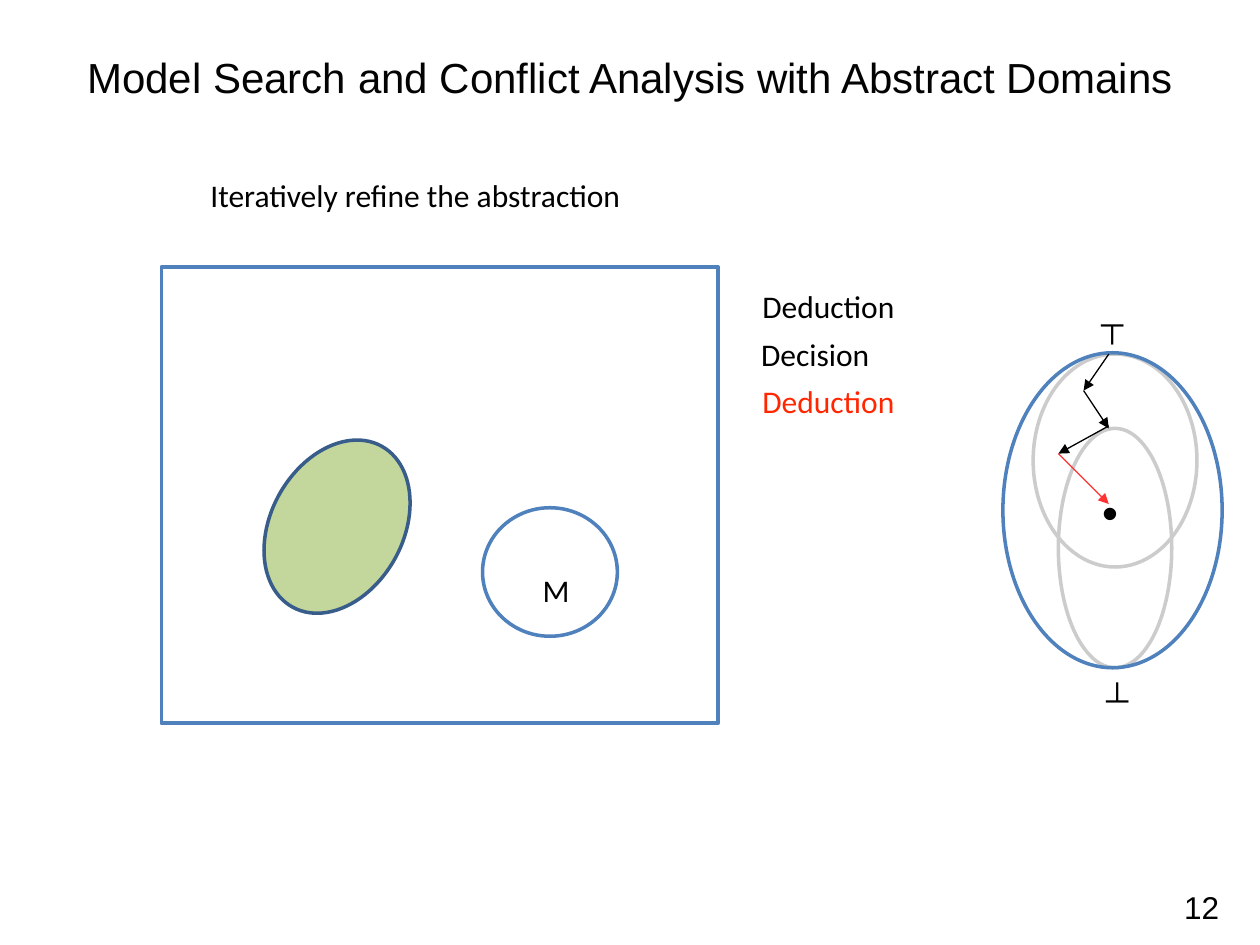
from lxml.etree import SubElement
from pptx import Presentation
from pptx.dml.color import RGBColor
from pptx.enum.shapes import MSO_CONNECTOR, MSO_SHAPE
from pptx.enum.text import MSO_ANCHOR, PP_ALIGN
from pptx.oxml.ns import qn
from pptx.util import Pt

PX = 9144  # 100 px to the inch
BLACK = RGBColor(0x00, 0x00, 0x00)
INK = RGBColor(0x03, 0x03, 0x03)
WHITE = RGBColor(0xFF, 0xFF, 0xFF)
BLUE = RGBColor(0x4F, 0x81, 0xBD)
NAVY = RGBColor(0x38, 0x5D, 0x8A)
GREEN = RGBColor(0xC3, 0xD6, 0x9B)
GREY = RGBColor(0xCC, 0xCC, 0xCC)
RED = RGBColor(0xFF, 0x26, 0x00)
CORAL = RGBColor(0xFF, 0x33, 0x33)

prs = Presentation()
prs.slide_width, prs.slide_height = 1000 * PX, 750 * PX
slide = prs.slides.add_slide(prs.slide_layouts[5])
shapes = slide.shapes


def add_form(kind, x, y, w, h, line, fill=None):
    form = shapes.add_shape(kind, x * PX, y * PX, w * PX, h * PX)
    form.shadow.inherit = False
    form.line.color.rgb = line
    form.line.width = Pt(2)
    if fill is None:
        form.fill.background()
    else:
        form.fill.solid()
        form.fill.fore_color.rgb = fill
    return form


def add_label(text, x, y, w, h, font="Calibri", size=18, color=BLACK, side=5, wrap=False):
    frame = shapes.add_textbox(x * PX, y * PX, w * PX, h * PX).text_frame
    frame.word_wrap = wrap
    frame.margin_left = frame.margin_right = side * PX
    frame.margin_top = frame.margin_bottom = 5 * PX
    para = frame.paragraphs[0]
    para.text = text
    para.font.name, para.font.size = font, Pt(size)
    para.font.color.rgb = color


# Title
title = shapes.title
title.left, title.top, title.width, title.height = 50 * PX, 18 * PX, 900 * PX, 85 * PX
frame = title.text_frame
frame.text = "Model Search and Conflict Analysis with Abstract Domains"
frame.vertical_anchor = MSO_ANCHOR.MIDDLE
frame.margin_left = frame.margin_right = 5 * PX
frame.margin_top = frame.margin_bottom = 5 * PX
head = frame.paragraphs[0]
head.alignment = PP_ALIGN.CENTER
head.font.name, head.font.size = "Arial", Pt(24)
head.font.color.rgb = INK

# Universe with the abstract region and the models M
add_form(MSO_SHAPE.RECTANGLE, 128, 212, 442, 362, BLUE, WHITE)
add_label("Iteratively refine the abstraction", 162, 135, 348, 40)
region = add_form(MSO_SHAPE.OVAL, 215, 345, 105, 146, NAVY, GREEN)
region.rotation = 29
model = add_form(MSO_SHAPE.OVAL, 383, 403, 107, 102, BLUE, WHITE)
frame = model.text_frame
frame.vertical_anchor = MSO_ANCHOR.TOP
frame.margin_left, frame.margin_top = 32 * PX, 35 * PX
frame.margin_right = frame.margin_bottom = 0
mark = frame.paragraphs[0]
mark.text = "M"
mark.alignment = PP_ALIGN.LEFT
mark.font.name, mark.font.size = "Calibri", Pt(18)
mark.font.color.rgb = BLACK

# Steps of the search
add_label("Deduction", 600, 223, 115, 40)
add_label("Decision", 599, 261, 96, 40)
add_label("Deduction", 600, 298, 115, 40, color=RED)

# Lattice between top and bottom
add_form(MSO_SHAPE.OVAL, 840, 340, 90, 190, GREY, WHITE)
add_form(MSO_SHAPE.OVAL, 820, 281, 130, 169, GREY)
add_form(MSO_SHAPE.OVAL, 796, 280, 174, 250, BLUE)
for text, x, y, w, h, size in [
    ("┬", 864, 236, 37, 38, 18),
    ("┴", 868, 535, 37, 38, 18),
    ("•", 865, 379, 32, 50, 26),
]:
    add_label(text, x, y, w, h, "Arial", size, side=10, wrap=True)

# Descent through the lattice
for x1, y1, x2, y2, color in [
    (880, 281, 860, 310, BLACK),
    (860, 310, 880, 340, BLACK),
    (880, 338, 840, 360, BLACK),
    (840, 360, 880, 400, CORAL),
]:
    step = shapes.add_connector(MSO_CONNECTOR.STRAIGHT, x1 * PX, y1 * PX, x2 * PX, y2 * PX)
    step.line.color.rgb = color
    step.line.width = Pt(0.75)
    SubElement(step.line._get_or_add_ln(), qn("a:tailEnd"), type="triangle")
    SubElement(step._element.spPr, qn("a:effectLst"))

# Slide number
add_label("12", 930, 700, 50, 38, "Arial", side=10, wrap=True)

prs.save("out.pptx")
